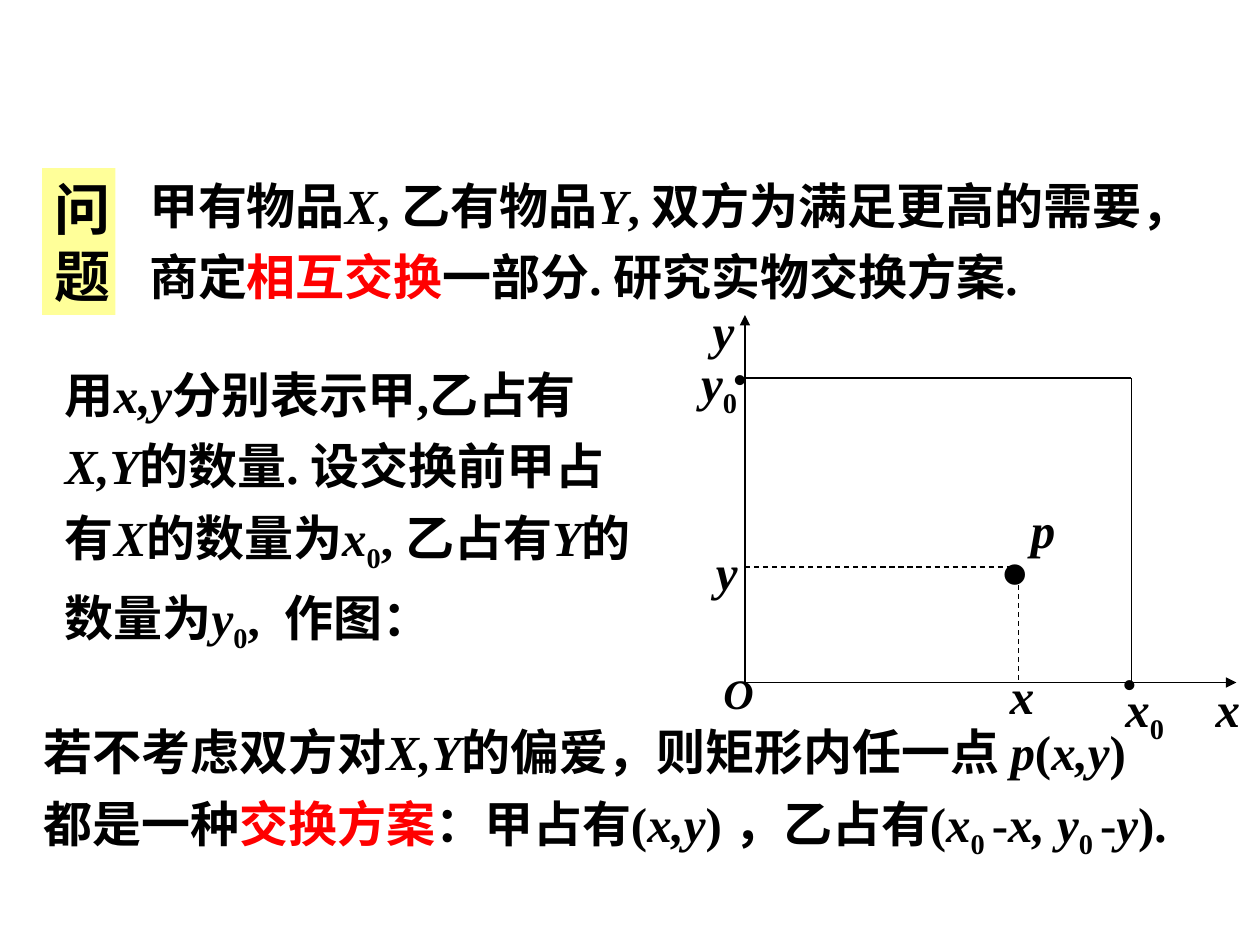
"""Build the slide that poses the barter problem and draws its exchange rectangle."""
from dataclasses import dataclass

from lxml import etree
from pptx import Presentation
from pptx.dml.color import RGBColor
from pptx.enum.dml import MSO_LINE
from pptx.enum.shapes import MSO_CONNECTOR
from pptx.enum.text import MSO_ANCHOR, MSO_AUTO_SIZE, PP_ALIGN
from pptx.oxml.ns import qn
from pptx.util import Inches, Pt

STRAIGHT = MSO_CONNECTOR.STRAIGHT
DASH = MSO_LINE.DASH
TOP = MSO_ANCHOR.TOP
LEFT = PP_ALIGN.LEFT
FIXED = MSO_AUTO_SIZE.NONE
CELL = Inches(1) / 12


@dataclass(frozen=True)
class Theme:
    ink: RGBColor = RGBColor(0, 0, 0)
    accent: RGBColor = RGBColor(255, 0, 0)
    tag: RGBColor = RGBColor(255, 255, 153)
    font: str = "Times New Roman"
    heading: int = 32
    text: int = 28
    small: int = 24
    point: int = 72
    line: float = 0.75


THEME = Theme()


def grid(*cells):
    return [round(cell * CELL) for cell in cells]


def write(holder, area, pieces, size=THEME.text, spacing=1.0, bold=True):
    holder.left, holder.top, holder.width, holder.height = grid(*area)
    frame = holder.text_frame
    frame.word_wrap, frame.auto_size, frame.vertical_anchor = True, FIXED, TOP
    paragraph = frame.paragraphs[0]
    paragraph.alignment, paragraph.line_spacing = LEFT, spacing
    paragraph.space_before = Pt(0)
    properties = paragraph._p.get_or_add_pPr()
    properties.set("marL", "0")
    properties.set("indent", "0")
    etree.SubElement(properties, qn("a:buNone"))
    for words, style in pieces:
        run = paragraph.add_run()
        run.text = words
        run.font.name, run.font.size, run.font.bold = THEME.font, Pt(size), bold
        run.font.italic = style == "variable"
        run.font.color.rgb = THEME.accent if style == "key" else THEME.ink
        if style == "index":
            run._r.get_or_add_rPr().set("baseline", "-25000")


deck = Presentation()
deck.slide_width, deck.slide_height = grid(120, 90)
slide = deck.slides.add_slide(deck.slide_layouts[1])
heading, problem = slide.placeholders

write(heading, (4, 16, 7, 14), [("问题", "plain")], THEME.heading)
heading.fill.solid()
heading.fill.fore_color.rgb = THEME.tag

write(problem, (13, 15, 103, 14.6), [
    ("甲有物品", "plain"), ("X", "variable"), (", 乙有物品", "plain"),
    ("Y", "variable"), (", 双方为满足更高的需要，商定", "plain"),
    ("相互交换", "key"), ("一部分. 研究实物交换方案.", "plain"),
], spacing=1.2)

passages = [
    ((5, 33, 57, 28), 1.2, [
        ("用", "plain"), ("x,y", "variable"), ("分别表示甲,乙占有", "plain"),
        ("X,Y", "variable"), ("的数量. 设交换前甲占有", "plain"),
        ("X", "variable"), ("的数量为", "plain"), ("x", "variable"),
        ("0", "index"), (", 乙占有", "plain"), ("Y", "variable"),
        ("的数量为", "plain"), ("y", "variable"), ("0", "index"),
        (",  作图：", "plain"),
    ]),
    ((3, 67, 112, 8), 1.2, [
        ("若不考虑双方对", "plain"), ("X,Y", "variable"),
        ("的偏爱，则矩形内任一点 ", "plain"), ("p", "variable"),
        ("(", "plain"), ("x,y", "variable"), (")", "plain"),
    ]),
    ((3, 75, 112, 6.8), 1.0, [
        ("都是一种", "plain"), ("交换方案", "key"), ("：甲占有(", "plain"),
        ("x,y", "variable"), (") ，乙占有(", "plain"), ("x", "variable"),
        ("0 ", "index"), ("-", "plain"), ("x, y", "variable"),
        ("0 ", "index"), ("-", "plain"), ("y", "variable"), (").", "plain"),
    ]),
]
for area, spacing, pieces in passages:
    write(slide.shapes.add_textbox(*grid(*area)), area, pieces, spacing=spacing)

origin_x, origin_y = 70.95, 65
corner_x, corner_y = 107.75, 36
point_x, point_y = 97, 54
plot_lines = [
    ((origin_x, origin_y, 117.75, origin_y), "axis"),
    ((origin_x, origin_y, origin_x, 30), "axis"),
    ((origin_x, corner_y, corner_x, corner_y), "edge"),
    ((corner_x, corner_y, corner_x, origin_y), "edge"),
    ((origin_x, point_y, point_x, point_y), "guide"),
    ((point_x, point_y, point_x, origin_y), "guide"),
]
for ends, role in plot_lines:
    stroke = slide.shapes.add_connector(STRAIGHT, *grid(*ends))
    stroke.line.color.rgb, stroke.line.width = THEME.ink, Pt(THEME.line)
    if role == "guide":
        stroke.line.dash_style = DASH
    if role == "axis":
        etree.SubElement(stroke.line._get_or_add_ln(), qn("a:tailEnd"), type="triangle")
    etree.SubElement(stroke._element.spPr, qn("a:effectLst"))

plot_labels = [
    ((67, 51, 6, 6.8), "y", "", THEME.text),
    ((95, 62.75, 6, 6.8), "x", "", THEME.text),
    ((97, 47, 5, 6.8), "p", "", THEME.text),
    ((114.6, 64, 5.4, 6.8), "x", "", THEME.text),
    ((66.7, 28, 6, 6.8), "y", "", THEME.text),
    ((65.6, 33, 8, 6.8), "y", "0", THEME.text),
    ((67.7, 63, 6.8, 6), "O", "", THEME.small),
    ((106, 64, 9.4, 6.8), "x", "0", THEME.text),
]
for area, letter, index, size in plot_labels:
    pieces = [(letter, "variable")] + ([(index, "index")] if index else [])
    write(slide.shapes.add_textbox(*grid(*area)), area, pieces, size)

plot_points = [
    ((94, 43, 7, 15.6), ".", THEME.point, True),
    ((105.7, 62, 8, 6), "•", THEME.small, False),
    ((68.6, 33, 8, 6), "•", THEME.small, False),
]
for area, mark, size, bold in plot_points:
    write(slide.shapes.add_textbox(*grid(*area)), area, [(mark, "plain")], size, bold=bold)

deck.save("out.pptx")
